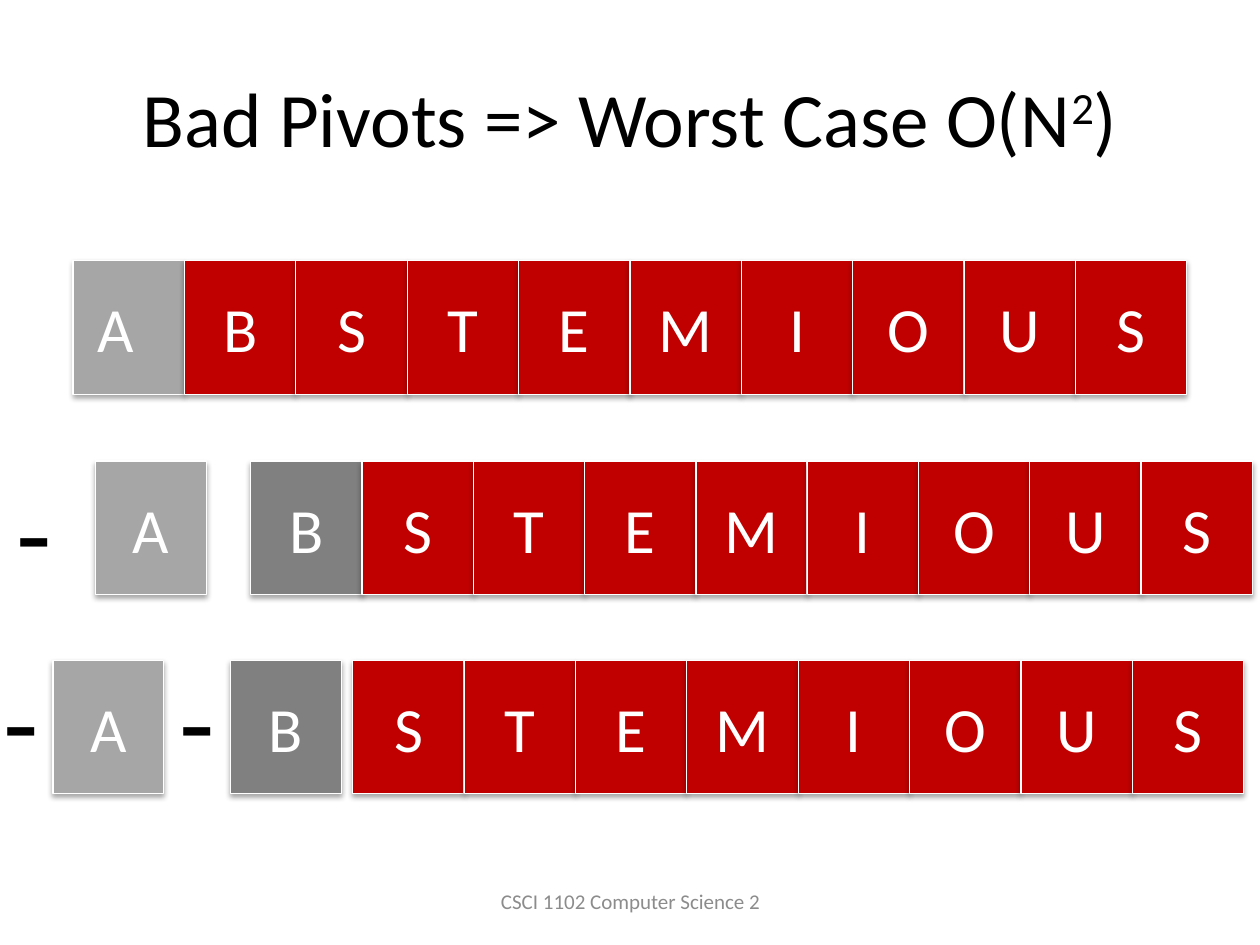
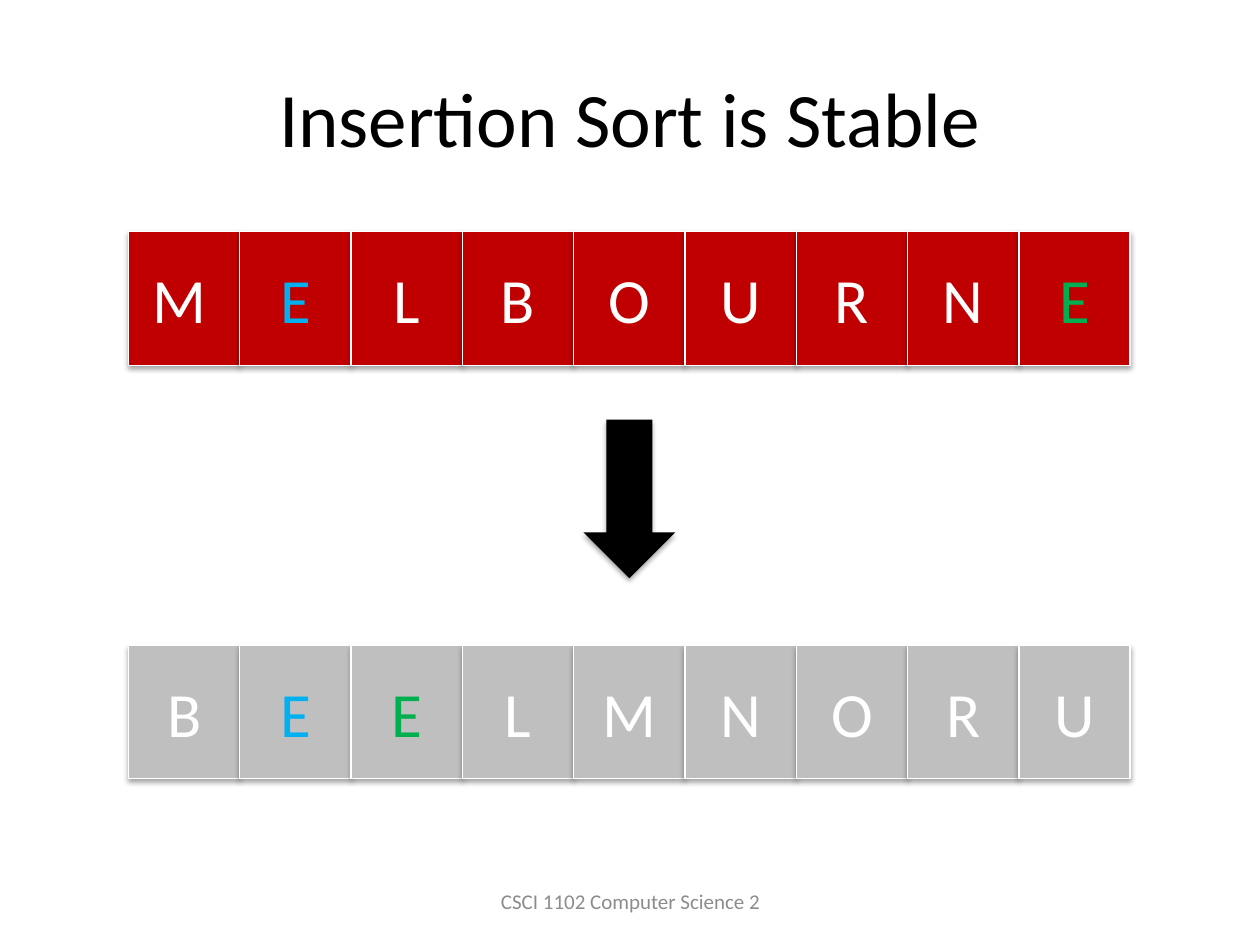
from dataclasses import dataclass
from typing import NamedTuple

from lxml.etree import SubElement
from pptx import Presentation
from pptx.dml.color import RGBColor as RGB
from pptx.enum.shapes import MSO_SHAPE as Shape
from pptx.enum.text import MSO_ANCHOR as Anchor, MSO_AUTO_SIZE as AutoSize, PP_ALIGN as Align
from pptx.oxml.ns import qn
from pptx.util import Inches, Pt


class Box(NamedTuple):
    """Position and size in inches."""

    left: float
    top: float
    width: float
    height: float

    def lengths(self):
        """Return the four sides as lengths."""
        return [Inches(side) for side in self]


@dataclass(frozen=True)
class Theme:
    """Colours, type sizes and the measures that the slides share."""

    font: str = "Calibri"
    black: str = "000000"
    white: str = "FFFFFF"
    red: str = "C00000"
    first_pivot: str = "A6A6A6"
    second_pivot: str = "808080"
    sorted_gray: str = "BFBFBF"
    first_e: str = "00B0F0"
    second_e: str = "00B050"
    footer_gray: str = "8C8C8C"
    title_size: int = 44
    letter_size: int = 36
    dash_size: int = 66
    footer_size: int = 12
    tile_width: float = 0.88
    tile_height: float = 1.06


THEME = Theme()
FOOTER = "CSCI 1102 Computer Science 2"
TITLE_BOX = Box(0.5, 0.3, 9, 1.25)
FOOTER_BOX = Box(3.42, 6.95, 3.17, 0.4)


def add_run(paragraph, text, size, color):
    """Append one formatted run and return it."""
    run = paragraph.add_run()
    run.text = text
    run.font.name = THEME.font
    run.font.size = Pt(size)
    run.font.color.rgb = RGB.from_string(color)
    return run


def add_shadow(shape):
    """Give a shape the soft shadow that falls straight down."""
    shape.shadow.inherit = False
    effects = shape.element.spPr.find(qn("a:effectLst"))
    shadow = SubElement(effects, qn("a:outerShdw"), blurRad=str(Pt(3.1)), dist=str(Pt(1.8)),
                        dir="5400000", rotWithShape="0")
    color = SubElement(shadow, qn("a:srgbClr"), val=THEME.black)
    SubElement(color, qn("a:alpha"), val="35000")


def add_tile(shapes, box, letter, fill, color=THEME.white):
    """Draw one square of an array with its letter."""
    tile = shapes.add_shape(Shape.RECTANGLE, *box.lengths())
    tile.fill.solid()
    tile.fill.fore_color.rgb = RGB.from_string(fill)
    tile.line.color.rgb = RGB.from_string(THEME.white)
    tile.line.width = Pt(0.75)
    add_shadow(tile)
    tile.text_frame.vertical_anchor = Anchor.MIDDLE
    paragraph = tile.text_frame.paragraphs[0]
    paragraph.alignment = Align.CENTER
    add_run(paragraph, letter, THEME.letter_size, color)


def add_array(slide, box, letters, fill=THEME.red, first_fill=None, accents=None):
    """Group equal tiles, one for each letter, across the box."""
    group = slide.shapes.add_group_shape()
    pitch = box.width / len(letters)
    for index, letter in enumerate(letters):
        tile_box = Box(box.left + index * pitch, box.top, pitch, box.height)
        tile_fill = first_fill if first_fill and index == 0 else fill
        add_tile(group.shapes, tile_box, letter, tile_fill, (accents or {}).get(index, THEME.white))


def add_dash(slide, box):
    """Write the large dash that stands for an empty partition."""
    frame = slide.shapes.add_textbox(*box.lengths()).text_frame
    frame.word_wrap = False
    frame.auto_size = AutoSize.SHAPE_TO_FIT_TEXT
    add_run(frame.paragraphs[0], "-", THEME.dash_size, THEME.black)


def add_arrow(slide, box):
    """Draw the black arrow between two arrays."""
    arrow = slide.shapes.add_shape(Shape.DOWN_ARROW, *box.lengths())
    arrow.fill.solid()
    arrow.fill.fore_color.rgb = RGB.from_string(THEME.black)
    arrow.line.fill.background()
    add_shadow(arrow)


def add_footer(slide, box):
    """Write the course name at the foot of the slide."""
    frame = slide.shapes.add_textbox(*box.lengths()).text_frame
    frame.word_wrap = True
    frame.vertical_anchor = Anchor.MIDDLE
    paragraph = frame.paragraphs[0]
    paragraph.alignment = Align.CENTER
    add_run(paragraph, FOOTER, THEME.footer_size, THEME.footer_gray)


def add_titled_slide(presentation, *title_parts):
    """Add a slide with title and footer; every second title part is raised."""
    slide = presentation.slides.add_slide(presentation.slide_layouts[5])
    title = slide.shapes.title
    title.left, title.top, title.width, title.height = TITLE_BOX.lengths()
    title.text_frame.vertical_anchor = Anchor.MIDDLE
    paragraph = title.text_frame.paragraphs[0]
    paragraph.alignment = Align.CENTER
    for index, part in enumerate(title_parts):
        run = add_run(paragraph, part, THEME.title_size, THEME.black)
        if index % 2:
            run.font._element.set("baseline", "30000")
    add_footer(slide, FOOTER_BOX)
    return slide


def build_bad_pivots(presentation):
    """Show three steps of a quicksort that picks the smallest letter."""
    slide = add_titled_slide(presentation, "Bad Pivots => Worst Case O(N", "2", ")")
    width, height = THEME.tile_width, THEME.tile_height
    add_array(slide, Box(0.58, 2.07, 8.84, height), ["A\t", *"BSTEMIOUS"],
              first_fill=THEME.first_pivot)
    add_array(slide, Box(1.99, 3.66, 7.95, height), "BSTEMIOUS", first_fill=THEME.second_pivot)
    add_array(slide, Box(2.8, 5.24, 7.07, height), "STEMIOUS")
    for left, top, letter, fill in [(0.76, 3.66, "A", THEME.first_pivot),
                                    (0.42, 5.24, "A", THEME.first_pivot),
                                    (1.83, 5.24, "B", THEME.second_pivot)]:
        add_tile(slide.shapes, Box(left, top, width, height), letter, fill)
    for left, top in [(0.03, 3.6), (-0.07, 5.1), (1.33, 5.1)]:
        add_dash(slide, Box(left, top, 0.49, 1.21))


def build_stable_sort(presentation):
    """Show that equal letters keep their order through the sort."""
    slide = add_titled_slide(presentation, "Insertion Sort is Stable")
    unsorted_box = Box(1.02, 1.84, 7.95, THEME.tile_height)
    add_array(slide, unsorted_box, ["M\t", *"ELBOURNE"],
              accents={1: THEME.first_e, 8: THEME.second_e})
    add_array(slide, unsorted_box._replace(top=5.12), "BEELMNORU", THEME.sorted_gray,
              accents={1: THEME.first_e, 2: THEME.second_e})
    add_arrow(slide, Box(4.63, 3.33, 0.73, 1.26))


def main():
    """Build both slides and save them."""
    presentation = Presentation()
    presentation.slide_width, presentation.slide_height = Inches(10), Inches(7.5)
    build_bad_pivots(presentation)
    build_stable_sort(presentation)
    presentation.save("out.pptx")


if __name__ == "__main__":
    main()
